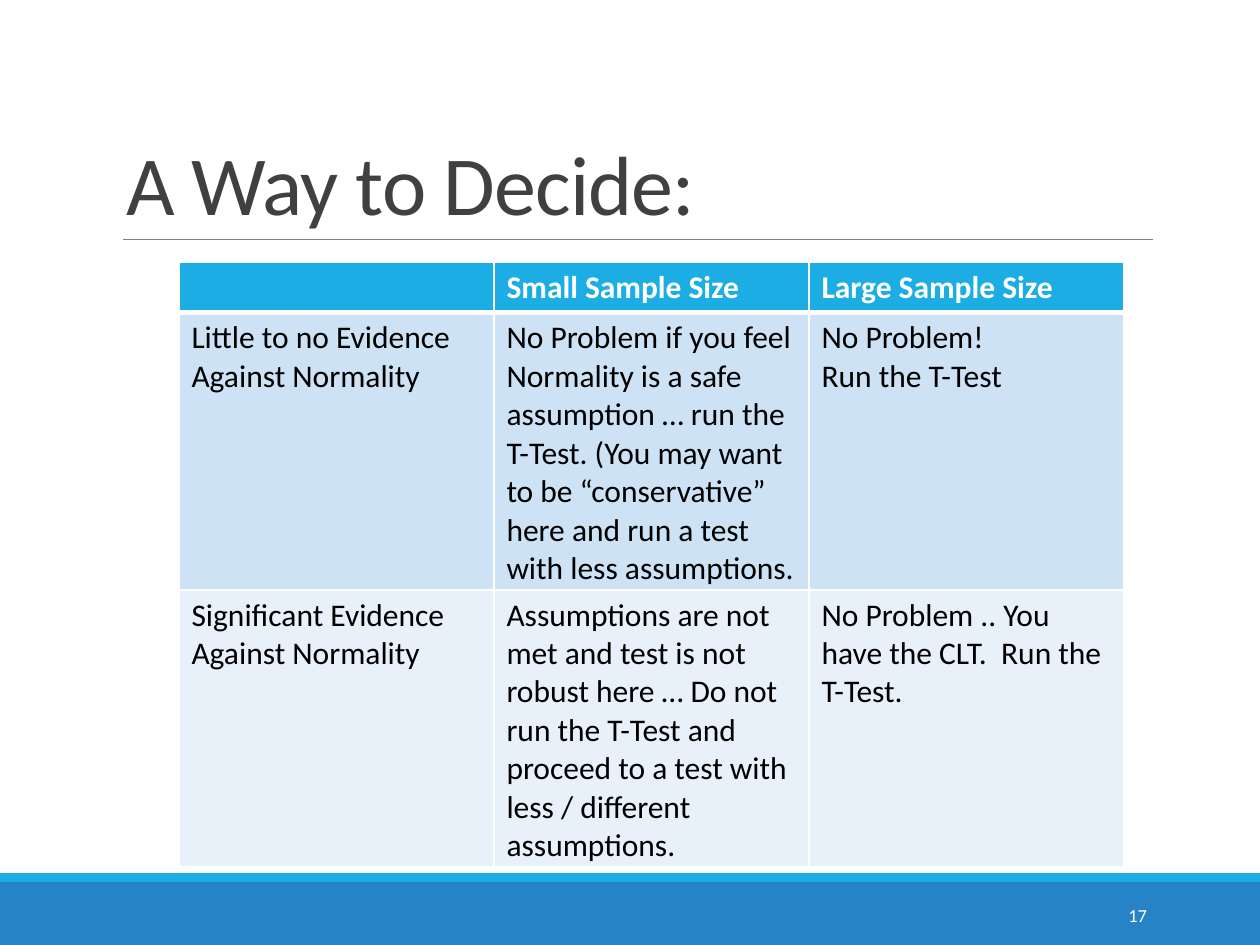
from pptx import Presentation
from pptx.dml.color import RGBColor
from pptx.enum.shapes import MSO_CONNECTOR, MSO_SHAPE
from pptx.enum.text import MSO_ANCHOR, PP_ALIGN
from pptx.oxml import parse_xml
from pptx.oxml.ns import nsdecls
from pptx.util import Inches, Pt

WHITE, BLACK = "FFFFFF", "000000"
CYAN, BLUE = "1CADE4", "2683C6"


def color(hex_string):
    return RGBColor.from_string(hex_string)


def style_text(text_frame, size, hex_string, bold=False):
    for paragraph in text_frame.paragraphs:
        for run in paragraph.runs:
            run.font.name = "Calibri"
            run.font.size = Pt(size)
            run.font.bold = bold
            run.font.color.rgb = color(hex_string)


presentation = Presentation()
presentation.slide_width = Inches(10)
presentation.slide_height = Inches(7.5)
slide = presentation.slides.add_slide(presentation.slide_layouts[5])

# Footer bands
for top, height, fill in [(7, 0.5, BLUE), (6.93, 0.07, CYAN)]:
    band = slide.shapes.add_shape(
        MSO_SHAPE.RECTANGLE, 0, Inches(top), Inches(10), Inches(height))
    band.shadow.inherit = False
    band.fill.solid()
    band.fill.fore_color.rgb = color(fill)
    band.line.fill.background()

# Title and the rule below it
title = slide.shapes.title
title.left, title.top = Inches(0.9), Inches(0.31)
title.width, title.height = Inches(8.25), Inches(1.59)
title.text_frame.text = "A Way to Decide:"
title.text_frame.vertical_anchor = MSO_ANCHOR.BOTTOM
paragraph = title.text_frame.paragraphs[0]
paragraph.alignment = PP_ALIGN.LEFT
paragraph.line_spacing = 0.85
style_text(title.text_frame, 48, "404040")
paragraph.runs[0]._r.get_or_add_rPr().set("spc", "-50")

rule = slide.shapes.add_connector(
    MSO_CONNECTOR.STRAIGHT, Inches(0.98), Inches(1.9), Inches(9.15), Inches(1.9))
rule.line.color.rgb = color("808080")
rule.line.width = Pt(0.5)
rule._element.spPr.append(parse_xml(f"<a:effectLst {nsdecls('a')}/>"))

# Slide number
number = slide.shapes.add_textbox(Inches(8.12), Inches(7.06), Inches(1.08), Inches(0.4))
number.text_frame.word_wrap = True
number.text_frame.vertical_anchor = MSO_ANCHOR.MIDDLE
number.text_frame.text = "17"
number.text_frame.paragraphs[0].alignment = PP_ALIGN.RIGHT
style_text(number.text_frame, 10.5, WHITE)

# Decision table
rows = [
    ["", "Small Sample Size", "Large Sample Size"],
    ["Little to no Evidence Against Normality",
     "No Problem if you feel Normality is a safe assumption … run the T-Test. "
     "(You may want to be “conservative” here and run a test with less assumptions.",
     "No Problem!\nRun the T-Test"],
    ["Significant Evidence Against Normality",
     "Assumptions are not met and test is not robust here … Do not run the T-Test "
     "and proceed to a test with less / different assumptions.",
     "No Problem .. You have the CLT.  Run the T-Test."],
]
row_heights = [0.4, 2.18, 2.18]
row_fills = [CYAN, "CDE3F5", "E8F1FA"]

table = slide.shapes.add_table(
    3, 3, Inches(1.42), Inches(2.08), Inches(7.5), Inches(sum(row_heights))).table
for column in table.columns:
    column.width = Inches(2.5)

for row_index, texts in enumerate(rows):
    table.rows[row_index].height = Inches(row_heights[row_index])
    is_header = row_index == 0
    for column_index, text in enumerate(texts):
        cell = table.cell(row_index, column_index)
        cell.text_frame.text = text
        style_text(cell.text_frame, 18, WHITE if is_header else BLACK, is_header)
        for side in "LRTB":
            heavy = (row_index, side) in [(0, "B"), (1, "T")]
            cell._tc.get_or_add_tcPr().append(parse_xml(
                f'<a:ln{side} {nsdecls("a")} w="{Pt(3 if heavy else 1)}"><a:solidFill>'
                f'<a:srgbClr val="{WHITE}"/></a:solidFill></a:ln{side}>'))
        cell.fill.solid()
        cell.fill.fore_color.rgb = color(row_fills[row_index])

presentation.save("out.pptx")
